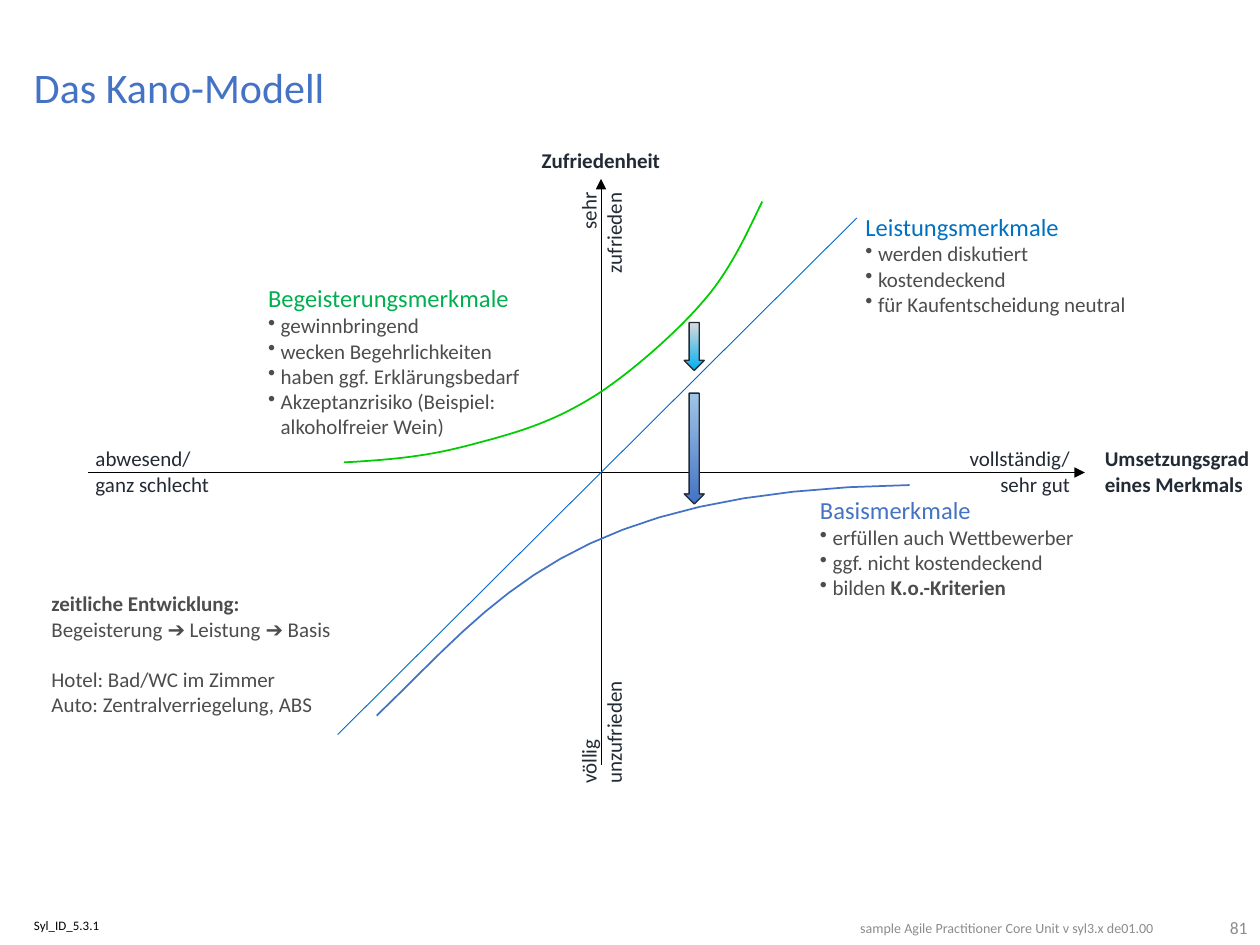
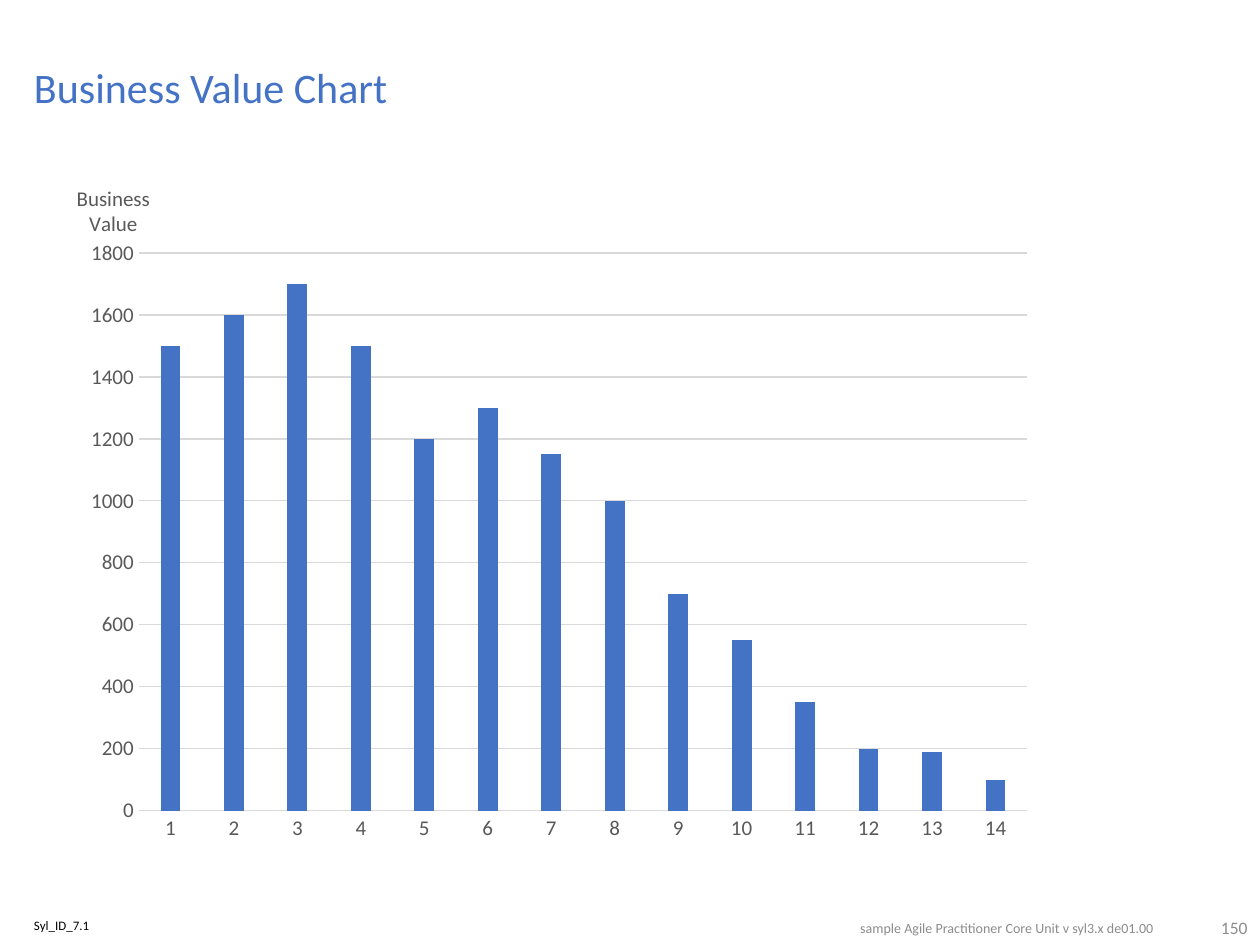
from lxml import etree
from pptx import Presentation
from pptx.chart.data import CategoryChartData
from pptx.dml.color import RGBColor
from pptx.enum.chart import XL_CHART_TYPE, XL_TICK_MARK
from pptx.enum.shapes import MSO_CONNECTOR, MSO_SHAPE
from pptx.enum.text import MSO_ANCHOR, MSO_AUTO_SIZE, PP_ALIGN
from pptx.oxml.ns import qn
from pptx.util import Inches, Pt

LEFT, CENTER, RIGHT = PP_ALIGN.LEFT, PP_ALIGN.CENTER, PP_ALIGN.RIGHT
MIDDLE = MSO_ANCHOR.MIDDLE
FIT_SHAPE = MSO_AUTO_SIZE.SHAPE_TO_FIT_TEXT
STRAIGHT = MSO_CONNECTOR.STRAIGHT
DOWN_ARROW = MSO_SHAPE.DOWN_ARROW
COLUMNS = XL_CHART_TYPE.COLUMN_CLUSTERED
NO_TICKS = XL_TICK_MARK.NONE

FONT = "Calibri"
BLUE = RGBColor(0x44, 0x72, 0xC4)
BLACK = RGBColor(0, 0, 0)
FOOTER_GRAY = RGBColor(0x8C, 0x8C, 0x8C)
NAVY = RGBColor(0x22, 0x2A, 0x35)
BODY_GRAY = RGBColor(0x4D, 0x4D, 0x4D)
LINE_BLUE = RGBColor(0x00, 0x66, 0xCC)
PERFORMANCE_BLUE = RGBColor(0x00, 0x70, 0xC0)
CURVE_GREEN = RGBColor(0x00, 0xCC, 0x00)
DELIGHT_GREEN = RGBColor(0x00, 0xB0, 0x50)
PALE_GRAY = RGBColor(0xDB, 0xDB, 0xDB)
SKY_BLUE = RGBColor(0x00, 0xB0, 0xF0)
PALE_BLUE = RGBColor(0x9D, 0xC3, 0xE6)
AXIS_GRAY = RGBColor(0x59, 0x59, 0x59)
GRID_GRAY = RGBColor(0xD9, 0xD9, 0xD9)

FOOTER = "sample Agile Practitioner Core Unit v syl3.x de01.00"
CURVE_STEPS = 16
DELIGHT_CURVE = [
    (6.05, 1.6), (5.95, 1.8), (5.82, 2.11), (5.6, 2.37),
    (5.39, 2.62), (5.03, 2.94), (4.74, 3.13),
    (4.44, 3.32), (4.19, 3.41), (3.85, 3.5),
    (3.52, 3.59), (3.3, 3.64), (2.73, 3.67),
]
BASIC_CURVE = [(2.99, 5.68), (3.95, 4.76), (4.51, 3.89), (7.22, 3.85)]
BUSINESS_VALUES = [1500, 1600, 1700, 1500, 1200, 1300, 1150, 1000,
                   700, 550, 350, 200, 190, 100]


def style_font(font, size, color, bold=False):
    """Apply the shared typeface with a size, colour and weight."""
    font.name = FONT
    font.size = Pt(size)
    font.bold = bold
    font.color.rgb = color


def add_text(slide, box, lines, size=12, color=NAVY, bold=False, align=LEFT,
             margins=(0.1, 0.05, 0.1, 0.05), wrap=True):
    """Add a text box with one paragraph for each line."""
    shape = slide.shapes.add_textbox(*map(Inches, box))
    frame = shape.text_frame
    frame.word_wrap = wrap
    (frame.margin_left, frame.margin_top,
     frame.margin_right, frame.margin_bottom) = map(Inches, margins)
    frame.text = "\n".join(lines)
    for paragraph in frame.paragraphs:
        paragraph.alignment = align
        style_font(paragraph.font, size, color, bold)
    return shape


def add_label(slide, box, lines, rotation=0, **style):
    """Add a diagram label whose box fits its text."""
    shape = add_text(slide, box, lines, **style)
    shape.text_frame.auto_size = FIT_SHAPE
    shape.rotation = rotation
    return shape


def add_feature(slide, box, heading, color, items, wrap=True):
    """Add a coloured heading with bulleted characteristics."""
    shape = add_label(slide, box, [heading], size=14, color=color, wrap=wrap)
    for item in items:
        paragraph = shape.text_frame.add_paragraph()
        paragraph.text = item
        properties = paragraph._p.get_or_add_pPr()
        properties.set("marL", str(Inches(0.1)))
        properties.set("indent", str(-Inches(0.1)))
        etree.SubElement(properties, qn("a:buChar"), char="•")
        style_font(paragraph.font, 12, BODY_GRAY)
    return shape


def add_line(slide, start, end, color, arrow=False):
    """Add a thin straight line, optionally with an arrowhead at its end."""
    connector = slide.shapes.add_connector(
        STRAIGHT, *map(Inches, start + end))
    connector.line.color.rgb = color
    connector.line.width = Pt(0.5)
    if arrow:
        etree.SubElement(connector.line._get_or_add_ln(), qn("a:tailEnd"),
                         type="triangle")
    etree.SubElement(connector._element.spPr, qn("a:effectLst"))


def bezier_point(controls, t):
    """Return the point at t on a cubic Bézier segment, in EMU."""
    weights = ((1 - t) ** 3, 3 * t * (1 - t) ** 2, 3 * t ** 2 * (1 - t), t ** 3)
    return tuple(
        Inches(sum(weight * point[axis]
                   for weight, point in zip(weights, controls)))
        for axis in (0, 1))


def add_curve(slide, controls, color):
    """Draw an open curve through chained cubic Bézier segments."""
    points = [bezier_point(controls[first:first + 4], step / CURVE_STEPS)
              for first in range(0, len(controls) - 1, 3)
              for step in range(1, CURVE_STEPS + 1)]
    builder = slide.shapes.build_freeform(*map(Inches, controls[0]))
    builder.add_line_segments(points, close=False)
    shape = builder.convert_to_shape()
    shape.shadow.inherit = False
    shape.fill.background()
    shape.line.color.rgb = color
    shape.line.width = Pt(1)


def add_down_arrow(slide, top, height, stops):
    """Add a block arrow with a vertical gradient."""
    shape = slide.shapes.add_shape(
        DOWN_ARROW, *map(Inches, (5.43, top, 0.16, height)))
    shape.shadow.inherit = False
    shape.fill.gradient()
    shape.fill.gradient_angle = 270
    for stop, (position, color) in zip(shape.fill.gradient_stops, stops):
        stop.position = position
        stop.color.rgb = color
    shape.line.color.rgb = NAVY
    shape.line.width = Pt(0.75)


def set_chart_layout(parent, **values):
    """Give a chart part a manual layout in fractions of the chart."""
    layout = parent.find(qn("c:layout"))
    if layout is None:
        layout = etree.Element(qn("c:layout"))
        parent.insert(0, layout)
    manual = etree.SubElement(layout, qn("c:manualLayout"))
    for name, value in values.items():
        etree.SubElement(manual, qn(f"c:{name}"), val=str(value))


def style_axis(axis):
    """Apply the shared axis text and remove tick marks."""
    axis.major_tick_mark = NO_TICKS
    axis.minor_tick_mark = NO_TICKS
    style_font(axis.tick_labels.font, 12, AXIS_GRAY)


def style_rule(line):
    """Apply the light gray line of axis and grid."""
    line.color.rgb = GRID_GRAY
    line.width = Pt(0.75)


def add_value_chart(slide):
    """Add the column chart of business values."""
    data = CategoryChartData()
    data.categories = [str(number + 1) for number in range(len(BUSINESS_VALUES))]
    data.add_series("Series 1", BUSINESS_VALUES)
    chart = slide.shapes.add_chart(
        COLUMNS, *map(Inches, (0.5, 1.27, 7.81, 5.47)), data).chart
    style_font(chart.font, 10, BLACK)
    chart.has_legend = False

    title = chart.chart_title
    title.text_frame.text = "Business\nValue"
    for paragraph in title.text_frame.paragraphs:
        style_font(paragraph.font, 12, AXIS_GRAY)
    set_chart_layout(title._element, xMode="edge", yMode="edge", x=0.01, y=0.03)
    set_chart_layout(chart._chartSpace.find(".//" + qn("c:plotArea")),
                     layoutTarget="inner", xMode="edge", yMode="edge",
                     x=0.077, y=0.135, w=0.903, h=0.809)

    plot = chart.plots[0]
    plot.vary_by_categories = False
    plot.gap_width = 219
    plot.overlap = -27
    fill = plot.series[0].format.fill
    fill.solid()
    fill.fore_color.rgb = BLUE

    style_axis(chart.category_axis)
    style_rule(chart.category_axis.format.line)
    value_axis = chart.value_axis
    style_axis(value_axis)
    value_axis.minimum_scale = 0
    value_axis.maximum_scale = 1800
    value_axis.major_unit = 200
    value_axis.format.line.fill.background()
    style_rule(value_axis.major_gridlines.format.line)


def add_base_slide(presentation, title, syllabus_id, number):
    """Add a blank slide with the shared title and footers."""
    slide = presentation.slides.add_slide(presentation.slide_layouts[6])
    flush = (0, 0, 0, 0)
    add_text(slide, (5.83, 7.3, 3.33, 0.16), [FOOTER], 8, FOOTER_GRAY,
             align=RIGHT, margins=flush)
    add_text(slide, (9.25, 7.28, 0.65, 0.2), [number], 10, FOOTER_GRAY,
             align=RIGHT, margins=flush)
    heading = add_text(slide, (0.27, 0.45, 9.46, 0.53), [title], 24, BLUE,
                       margins=(0, 0.05, 0.1, 0.05))
    heading.text_frame.vertical_anchor = MIDDLE
    reference = add_text(slide, (0.27, 7.3, 3.96, 0.16), [syllabus_id], 7.4,
                         BLACK, margins=(0, 0, 0.1, 0.05))
    for shape in (heading, reference):
        shape.text_frame.paragraphs[0].line_spacing = 0.9
    return slide


def add_axes(slide):
    """Add the satisfaction and implementation axes with their labels."""
    add_line(slide, (4.77, 6.07), (4.77, 1.42), BLACK, arrow=True)
    add_line(slide, (0.7, 3.75), (8.61, 3.75), BLACK, arrow=True)
    add_label(slide, (8.67, 3.49, 1.54, 0.5),
              ["Umsetzungsgrad eines Merkmals"], bold=True)
    add_label(slide, (4.1, 1.12, 1.34, 0.3), ["Zufriedenheit"],
              bold=True, align=CENTER)
    add_label(slide, (4.1, 1.85, 1.34, 0.5), ["sehr", "zufrieden"],
              rotation=270, align=RIGHT)
    add_label(slide, (4.1, 5.4, 1.34, 0.5), ["völlig", "unzufrieden"],
              rotation=270)
    add_label(slide, (0.66, 3.49, 1.2, 0.5), ["abwesend/ ganz schlecht"])
    add_label(slide, (7.35, 3.49, 1.24, 0.5), ["vollständig/ sehr gut"],
              align=RIGHT)


def add_timeline_note(slide):
    """Add the note on how features change over time."""
    note = add_label(
        slide, (0.31, 4.64, 2.52, 1.11),
        ["zeitliche Entwicklung:", "Begeisterung ➔ Leistung ➔ Basis",
         "Hotel: Bad/WC im Zimmer", "Auto: Zentralverriegelung, ABS"],
        color=BODY_GRAY, wrap=False)
    paragraphs = note.text_frame.paragraphs
    paragraphs[0].font.bold = True
    paragraphs[2].space_before = Pt(14.5)


def add_kano_diagram(slide):
    """Add the Kano axes, curves, feature lists and arrows."""
    add_axes(slide)
    add_line(slide, (6.8, 1.73), (2.68, 5.83), LINE_BLUE)
    add_feature(slide, (6.77, 1.63, 2.49, 0.98), "Leistungsmerkmale",
                PERFORMANCE_BLUE,
                ["werden diskutiert", "kostendeckend",
                 "für Kaufentscheidung neutral"])
    add_timeline_note(slide)
    add_curve(slide, DELIGHT_CURVE, CURVE_GREEN)
    add_feature(slide, (2.03, 2.2, 2.47, 1.35), "Begeisterungsmerkmale",
                DELIGHT_GREEN,
                ["gewinnbringend", "wecken Begehrlichkeiten",
                 "haben ggf. Erklärungsbedarf",
                 "Akzeptanzrisiko (Beispiel: alkoholfreier Wein)"])
    add_curve(slide, BASIC_CURVE, BLUE)
    basics = add_feature(slide, (6.41, 3.88, 2.23, 1.14), "Basismerkmale", BLUE,
                         ["erfüllen auch Wettbewerber",
                          "ggf. nicht kostendeckend", "bilden "], wrap=False)
    knockout = basics.text_frame.paragraphs[-1].add_run()
    knockout.text = "K.o.-Kriterien"
    knockout.font.bold = True
    add_down_arrow(slide, 2.56, 0.38, [(0, PALE_GRAY), (1, SKY_BLUE)])
    add_down_arrow(slide, 3.12, 0.88, [(0.03, PALE_BLUE), (1, BLUE)])


def main():
    """Build and save the two slides."""
    presentation = Presentation()
    presentation.slide_width = Inches(10)
    presentation.slide_height = Inches(7.5)
    add_kano_diagram(add_base_slide(
        presentation, "Das Kano-Modell", "Syl_ID_5.3.1", "81"))
    add_value_chart(add_base_slide(
        presentation, "Business Value Chart", "Syl_ID_7.1", "150"))
    presentation.save("out.pptx")


if __name__ == "__main__":
    main()
